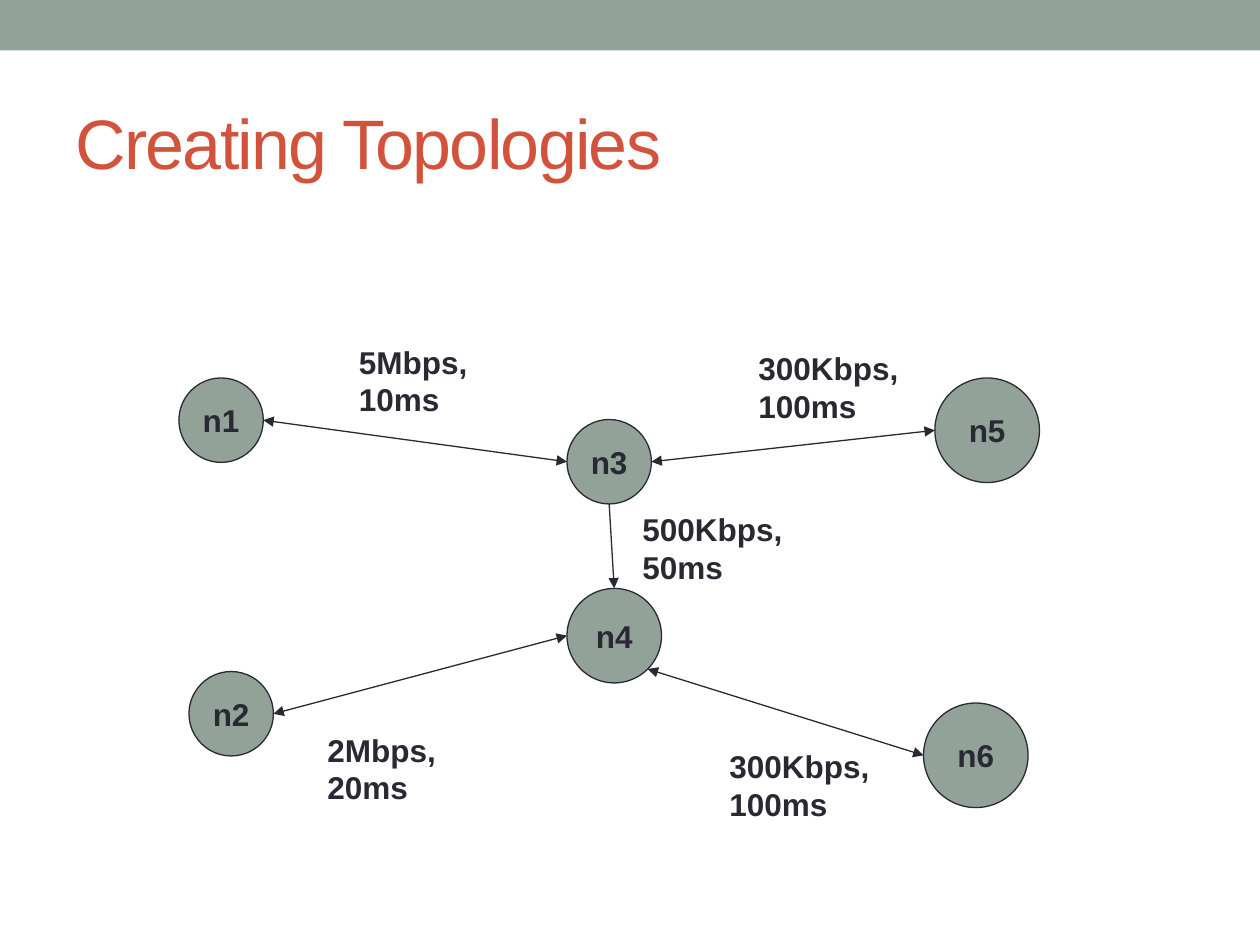
import math
from dataclasses import dataclass

from lxml import etree
from pptx import Presentation
from pptx.dml.color import RGBColor
from pptx.enum import shapes, text
from pptx.oxml import ns
from pptx.util import Inches, Pt


@dataclass(frozen=True)
class Theme:
    font: str = "Arial"
    sage: RGBColor = RGBColor(0x93, 0xA2, 0x99)
    ink: RGBColor = RGBColor(0x29, 0x29, 0x34)
    accent: RGBColor = RGBColor(0xD2, 0x53, 0x3C)
    title_size: int = 40
    body_size: int = 18
    line_width: float = 0.75


@dataclass(frozen=True)
class Node:
    left: float
    top: float
    size: float

    def edge(self, degrees: float) -> tuple[float, float]:
        """Point on the circle, clockwise from the right."""
        radius = self.size / 2
        angle = math.radians(degrees)
        return (self.left + radius * (1 + math.cos(angle)),
                self.top + radius * (1 + math.sin(angle)))


@dataclass(frozen=True)
class Link:
    start: str
    start_angle: float
    end: str
    end_angle: float
    two_way: bool = True


@dataclass(frozen=True)
class Label:
    lines: str
    left: float
    top: float
    width: float


THEME = Theme()
RIGHT, LOWER_RIGHT, BOTTOM, LEFT, TOP = 0, 45, 90, 180, 270

NODES = {
    "n1": Node(1.42, 3, 0.67),
    "n2": Node(1.5, 5.33, 0.67),
    "n3": Node(4.5, 3.33, 0.67),
    "n4": Node(4.5, 4.67, 0.75),
    "n5": Node(7.42, 3, 0.83),
    "n6": Node(7.33, 5.58, 0.83),
}
LINKS = [
    Link("n2", RIGHT, "n4", LEFT),
    Link("n4", LOWER_RIGHT, "n6", LEFT),
    Link("n1", RIGHT, "n3", LEFT),
    Link("n3", BOTTOM, "n4", TOP, two_way=False),
    Link("n3", RIGHT, "n5", LEFT),
]
LABELS = [
    Label("5Mbps,\n10ms", 2.75, 2.67, 1.06),
    Label("2Mbps,\n20ms", 2.5, 5.75, 1.06),
    Label("300Kbps,\n100ms", 5.92, 2.72, 1.31),
    Label("300Kbps,\n100ms", 5.69, 5.88, 1.31),
    Label("500Kbps,\n50ms", 5, 4, 1.31),
]


def style_text(text_frame, size: int, color: RGBColor, bold: bool = False) -> None:
    for paragraph in text_frame.paragraphs:
        for run in paragraph.runs:
            run.font.name = THEME.font
            run.font.size = Pt(size)
            run.font.bold = bold
            run.font.color.rgb = color


def style_line(line) -> None:
    line.color.rgb = THEME.ink
    line.width = Pt(THEME.line_width)


def draw_banner(slide) -> None:
    banner = slide.shapes.add_shape(
        shapes.MSO_SHAPE.RECTANGLE, 0, 0, Inches(10), Inches(0.4))
    banner.shadow.inherit = False
    banner.fill.solid()
    banner.fill.fore_color.rgb = THEME.sage
    banner.line.fill.background()


def draw_title(slide, title: str) -> None:
    box = slide.shapes.add_textbox(Inches(0.5), Inches(0.58), Inches(9), Inches(1.08))
    text_frame = box.text_frame
    text_frame.word_wrap = True
    text_frame.vertical_anchor = text.MSO_ANCHOR.MIDDLE
    text_frame.text = title
    style_text(text_frame, THEME.title_size, THEME.accent)
    # Letter spacing, in hundredths of a point
    text_frame.paragraphs[0].runs[0].font._element.set("spc", "-100")


def draw_node(slide, name: str, node: Node) -> None:
    circle = slide.shapes.add_shape(
        shapes.MSO_SHAPE.OVAL, Inches(node.left), Inches(node.top),
        Inches(node.size), Inches(node.size))
    circle.shadow.inherit = False
    circle.fill.solid()
    circle.fill.fore_color.rgb = THEME.sage
    style_line(circle.line)
    text_frame = circle.text_frame
    text_frame.word_wrap = False
    text_frame.vertical_anchor = text.MSO_ANCHOR.MIDDLE
    text_frame.text = name
    text_frame.paragraphs[0].alignment = text.PP_ALIGN.CENTER
    style_text(text_frame, THEME.body_size, THEME.ink, bold=True)


def draw_link(slide, link: Link) -> None:
    start = NODES[link.start].edge(link.start_angle)
    end = NODES[link.end].edge(link.end_angle)
    connector = slide.shapes.add_connector(
        shapes.MSO_CONNECTOR.STRAIGHT, *map(Inches, start + end))
    style_line(connector.line)
    properties = connector._element.spPr
    line = properties.find(ns.qn("a:ln"))
    for tag in ("a:headEnd", "a:tailEnd") if link.two_way else ("a:tailEnd",):
        etree.SubElement(line, ns.qn(tag), type="triangle")
    etree.SubElement(properties, ns.qn("a:effectLst"))


def draw_label(slide, label: Label) -> None:
    box = slide.shapes.add_textbox(
        Inches(label.left), Inches(label.top), Inches(label.width), Inches(0.7))
    text_frame = box.text_frame
    text_frame.word_wrap = False
    text_frame.auto_size = text.MSO_AUTO_SIZE.SHAPE_TO_FIT_TEXT
    text_frame.text = label.lines
    style_text(text_frame, THEME.body_size, THEME.ink, bold=True)


def main() -> None:
    presentation = Presentation()
    presentation.slide_width = Inches(10)
    presentation.slide_height = Inches(7.5)
    slide = presentation.slides.add_slide(presentation.slide_layouts[6])

    # Heading
    draw_banner(slide)
    draw_title(slide, "Creating Topologies")

    # Network diagram
    for name, node in NODES.items():
        draw_node(slide, name, node)
    for link in LINKS:
        draw_link(slide, link)
    for label in LABELS:
        draw_label(slide, label)

    presentation.save("out.pptx")


if __name__ == "__main__":
    main()
